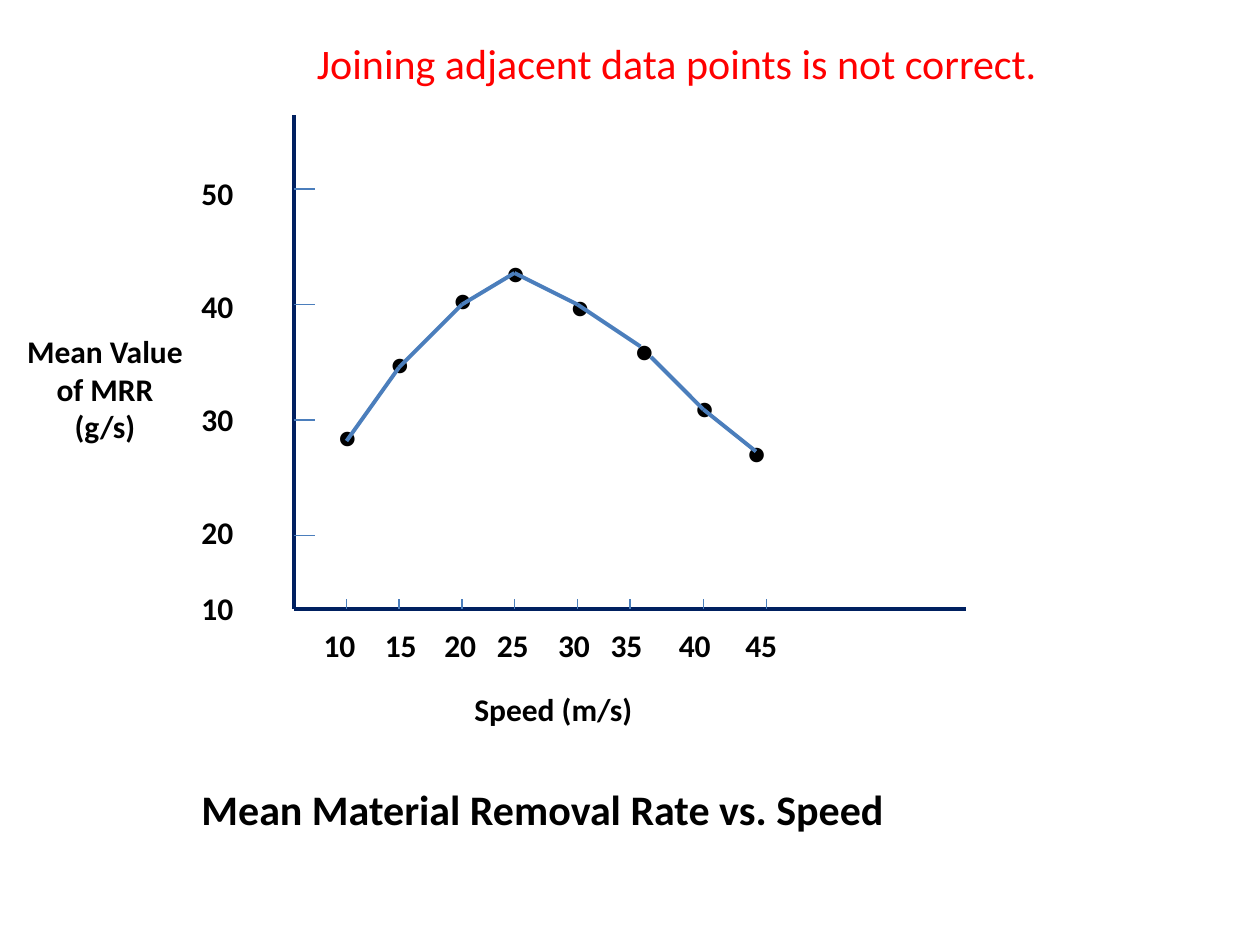
from lxml import etree
from pptx import Presentation
from pptx.dml.color import RGBColor
from pptx.enum.shapes import MSO_CONNECTOR
from pptx.enum.text import PP_ALIGN
from pptx.oxml.ns import qn
from pptx.util import Pt

LINE = MSO_CONNECTOR.STRAIGHT
LEFT, MID = PP_ALIGN.LEFT, PP_ALIGN.CENTER
HUES = {"axis": "002060", "curve": "4B7EBC", "text": "000000", "alert": "FF0000"}
RISE = [(30, 186), (60, 144), (96, 108), (126, 90), (162, 108), (198, 132)]
FALL = [(204, 138), (234, 168), (264, 192)]
DOTS = [(18, 168.7), (48, 127), (84, 90.2), (114.2, 75.1),
        (151, 94.6), (187.7, 119.8), (222.2, 152.2), (251.8, 178.1)]
TICKS = [30, 60, 96, 126, 162, 192, 234, 270]
SPEEDS = range(10, 50, 5)
STOPS = [35, 69, 99, 134, 164, 203, 241]
RATES = range(50, 0, -10)


def rule(slide, start, end, hue, width):
    """Draw a straight line between two points."""
    line = slide.shapes.add_connector(LINE, *map(Pt, start + end))
    line.line.color.rgb = RGBColor.from_string(HUES[hue])
    line.line.width = Pt(width)
    etree.SubElement(line._element.spPr, qn("a:effectLst"))


def style(para, size=18, bold=True, hue="text"):
    """Set the font of every run in a paragraph."""
    for run in para.runs:
        run.font.name = "Calibri"
        run.font.size = Pt(size)
        run.font.bold = bold
        run.font.color.rgb = RGBColor.from_string(HUES[hue])


def label(slide, box, text, align=LEFT, **look):
    """Add a wrapped text box and return its frame."""
    frame = slide.shapes.add_textbox(*map(Pt, box)).text_frame
    frame.word_wrap = True
    frame.text = text
    for para in frame.paragraphs:
        para.alignment = align
        style(para, **look)
    return frame


def axes(slide, left, top, width, height):
    """Draw both axes with their tick marks."""
    base = top + height
    rule(slide, (left, top), (left, base), "axis", 2.25)
    rule(slide, (left, base), (left + width, base), "axis", 2.25)
    for tick in TICKS:
        rule(slide, (left + tick, base), (left + tick, base - 6), "curve", 0.75)
    for step in range(4):
        y = top + 42 + 66 * step
        rule(slide, (left, y), (left + 12, y), "curve", 0.75)


def plot(slide, left, top):
    """Place the data points and the segments that join them."""
    for x, y in DOTS:
        label(slide, (left + x, top + y, 24, 29), "●", bold=False)
    for part in (RISE, FALL):
        path = [(left + x, top + y) for x, y in part]
        for start, end in zip(path, path[1:]):
            rule(slide, start, end, "curve", 2.25)


def speeds(slide, box):
    """Write the speed scale in one line with tab stops."""
    frame = label(slide, box, "\t".join(map(str, SPEEDS)))
    frame.margin_left = Pt(10.9)
    para = frame.paragraphs[0]
    tabs = etree.SubElement(para._p.get_or_add_pPr(), qn("a:tabLst"))
    for stop in STOPS:
        etree.SubElement(tabs, qn("a:tab"), pos=str(Pt(stop)), algn="l")


def rates(slide, box):
    """Write the rate scale as spaced paragraphs."""
    frame = label(slide, box, "\n".join(map(str, RATES)))
    for para in frame.paragraphs[1:-1]:
        para.space_before = Pt(43)
    frame.paragraphs[-1].space_before = Pt(21.5)


def main():
    """Build the slide and save it."""
    deck = Presentation()
    deck.slide_width, deck.slide_height = Pt(720), Pt(540)
    slide = deck.slides.add_slide(deck.slide_layouts[6])
    axes(slide, 168, 66, 384, 282)
    plot(slide, 168, 66)
    label(slide, (264, 391, 114, 29), "Speed (m/s)")
    label(slide, (6, 186, 108, 73), "Mean Value of MRR (g/s)", MID)
    speeds(slide, (174, 354, 294, 30))
    rates(slide, (108, 96, 48, 269))
    label(slide, (174, 18, 438, 36), "Joining adjacent data points is not correct.",
          size=24, bold=False, hue="alert")
    label(slide, (108, 444, 528, 36), "Mean Material Removal Rate vs. Speed", size=24)
    deck.save("out.pptx")


if __name__ == "__main__":
    main()
